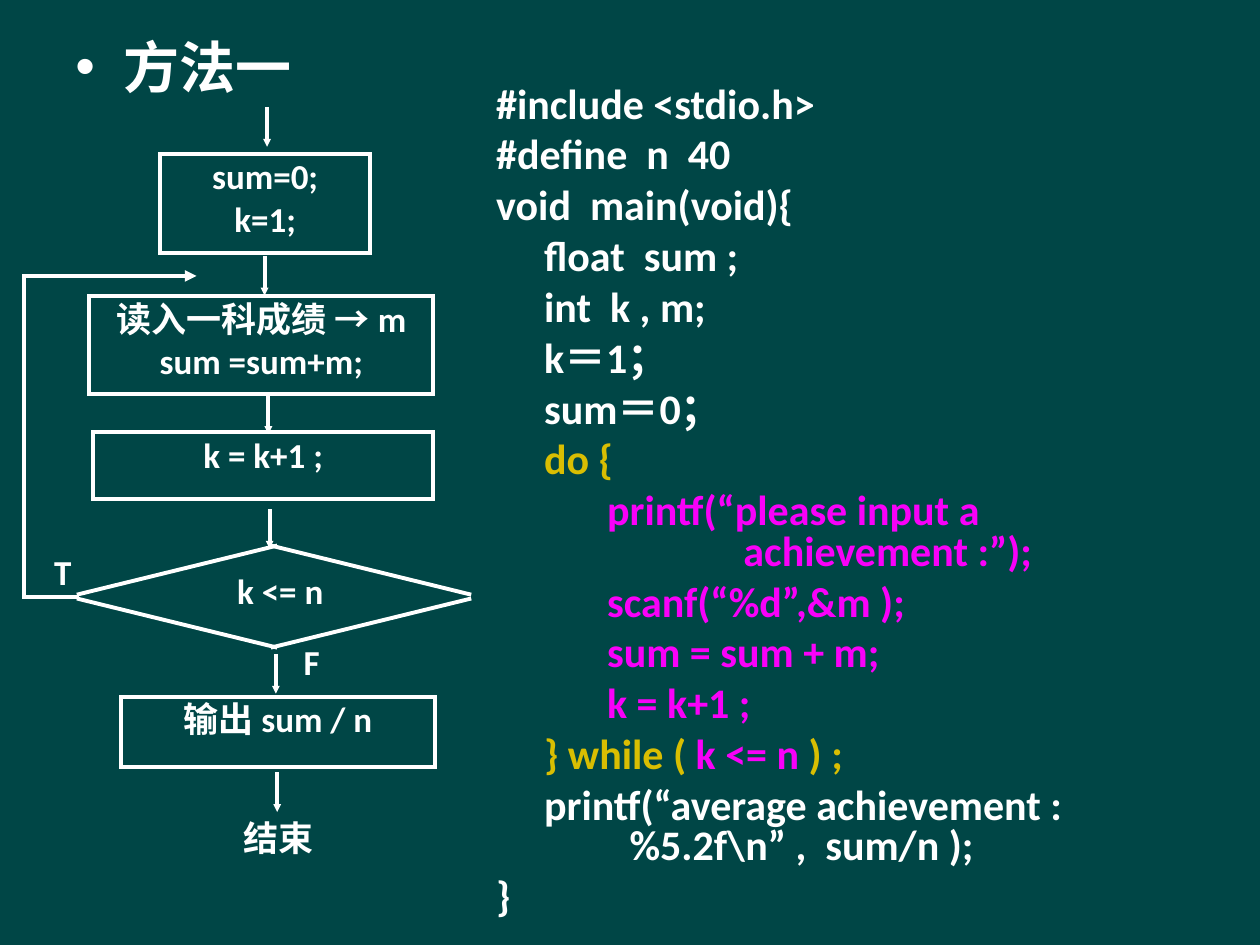
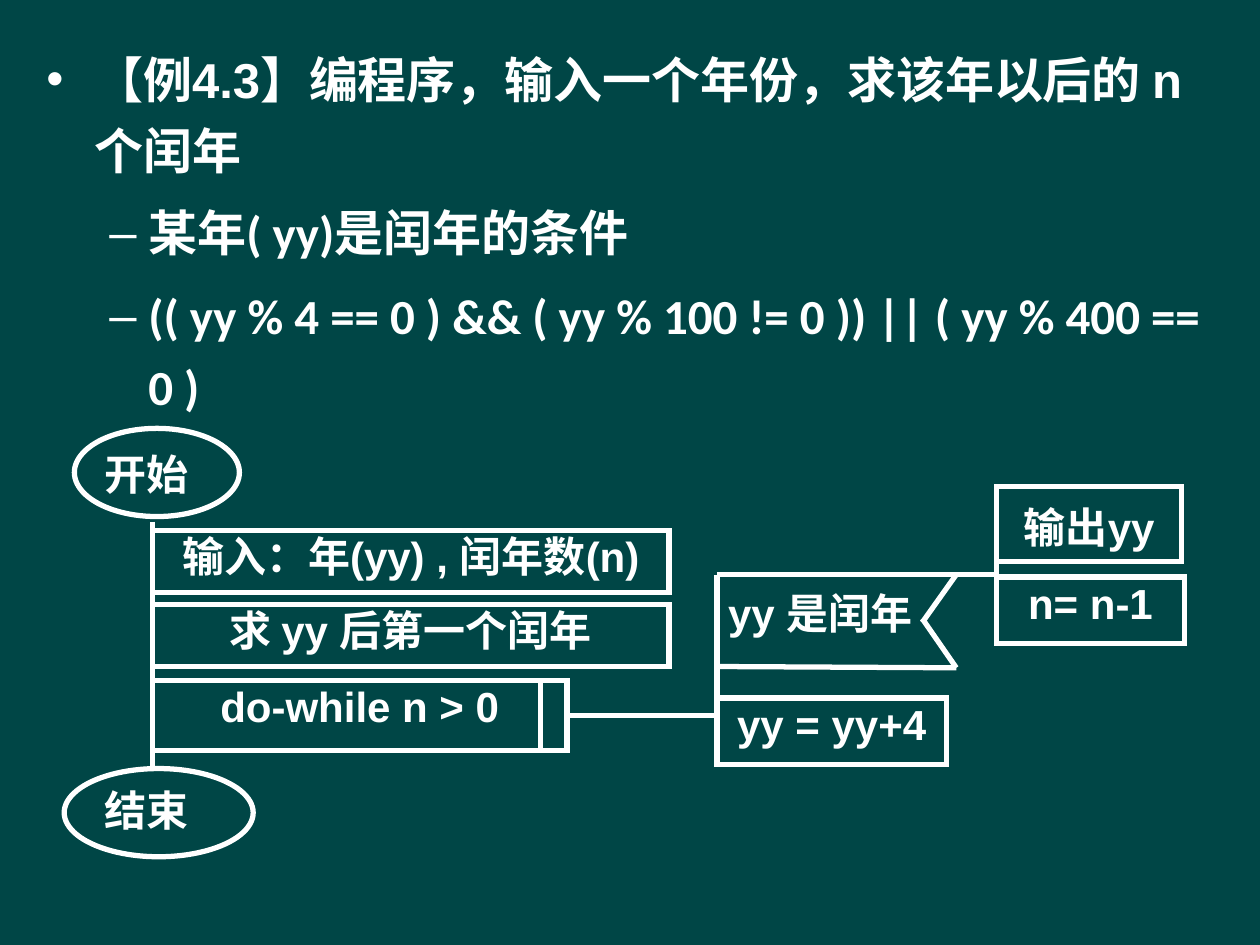
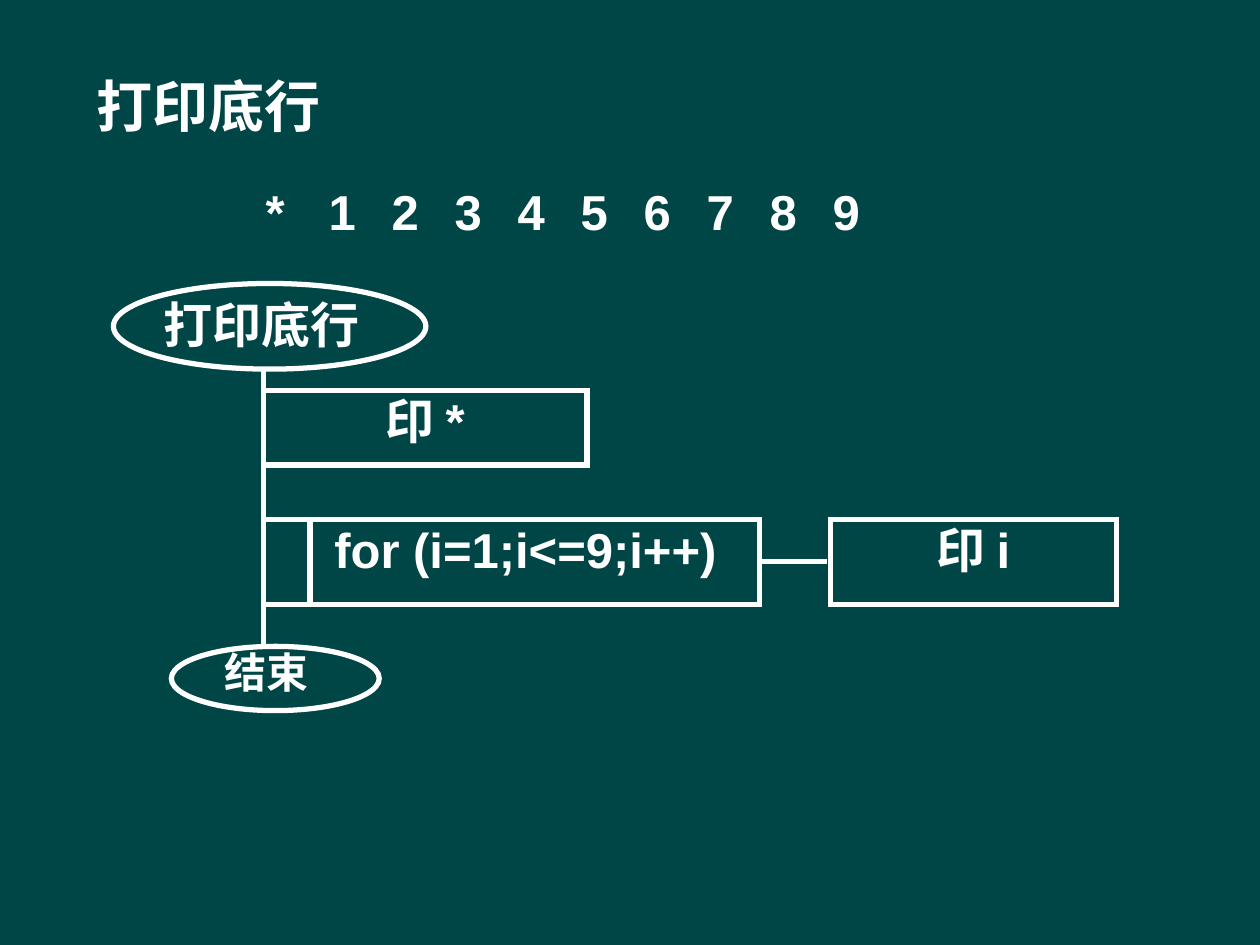
"""Build three slides on C loops: an averaging flowchart, a leap-year chart and a bottom-row chart."""
from dataclasses import dataclass, field
from typing import Optional, Union

from lxml import etree
from pptx import Presentation, util as u
from pptx.dml.color import RGBColor
from pptx.enum import shapes, text
from pptx.oxml import ns

DARK_TEAL = RGBColor(0x00, 0x46, 0x46)
WHITE = RGBColor(0xFF, 0xFF, 0xFF)
GOLD = RGBColor(0xD9, 0xBE, 0x02)
MAGENTA = RGBColor(0xF9, 0x00, 0xF9)

WIDTH, HEIGHT = u.Inches(10), u.Inches(7.5)
COLUMNS = 100
CELL = WIDTH / COLUMNS

RECT = shapes.MSO_SHAPE.RECTANGLE
OVAL = shapes.MSO_SHAPE.OVAL
LEFT, CENTER = text.PP_ALIGN.LEFT, text.PP_ALIGN.CENTER
TIGHT = (0, 0, 0, 0)
ROOMY = (1, 0.5, 1, 0.5)


@dataclass
class Style:
    """Font, text size and line width of one diagram."""
    font: str
    size: int
    weight: float


@dataclass
class Para:
    """One paragraph as coloured pieces, with its indent, bullet, tabs and spacing."""
    pieces: list[tuple[str, RGBColor]]
    align: text.PP_ALIGN = LEFT
    level: int = 0
    margin: float = 0
    hang: float = 0
    bullet: str = ""
    tabs: list[float] = field(default_factory=list)
    spacing: Optional[float] = None
    before: float = 0
    font: str = ""


@dataclass
class Box:
    """A text area in grid cells, outlined when it has an outline shape."""
    content: Union[str, list[Para]]
    left: float
    top: float
    width: float
    height: float
    outline: Optional[shapes.MSO_SHAPE] = None
    align: text.PP_ALIGN = CENTER
    insets: tuple[float, float, float, float] = TIGHT
    size: Optional[int] = None


@dataclass
class Line:
    """A straight line between two grid points."""
    x1: float
    y1: float
    x2: float
    y2: float
    arrow: bool = False


def grid(cells: float) -> u.Emu:
    """Turn grid cells into a length."""
    return u.Emu(round(cells * CELL))


def add_xml(parent: etree.ElementBase, tag: str, **attributes: str) -> etree.ElementBase:
    """Append a DrawingML element."""
    return etree.SubElement(parent, ns.qn(f"a:{tag}"), attributes)


def stroke(shape, weight: float, arrow_size: str = "") -> None:
    """Give a shape a plain white line, with an arrowhead if sized."""
    shape.line.color.rgb = WHITE
    shape.line.width = u.Pt(weight)
    line_xml = shape.element.spPr.find(ns.qn("a:ln"))
    add_xml(line_xml, "miter", lim="800000")
    if arrow_size:
        add_xml(line_xml, "tailEnd", type="triangle", w=arrow_size, len=arrow_size)


def fill_paragraph(paragraph, para: Para, font: str, size: int, first: bool) -> None:
    """Write a paragraph and format its runs."""
    properties = paragraph._p.get_or_add_pPr()
    properties.set("marL", str(grid(para.margin)))
    properties.set("indent", str(grid(-para.hang)))
    if para.bullet:
        add_xml(add_xml(properties, "buClr"), "srgbClr", val=str(WHITE))
        add_xml(properties, "buFont", typeface="Arial")
        add_xml(properties, "buChar", char=para.bullet)
    if para.tabs:
        stops = add_xml(properties, "tabLst")
        for stop in para.tabs:
            add_xml(stops, "tab", pos=str(grid(stop)), algn="l")
    paragraph.alignment = para.align
    paragraph.level = para.level
    if para.spacing:
        paragraph.line_spacing = para.spacing
    if para.before and not first:
        paragraph.space_before = u.Pt(para.before)
    for words, color in para.pieces:
        for index, row in enumerate(words.split("\n")):
            if index:
                paragraph.add_line_break()
            run = paragraph.add_run()
            run.text = row
            run.font.name = para.font or font
            run.font.size = u.Pt(size)
            run.font.bold = True
            run.font.color.rgb = color


def draw_box(slide, box: Box, style: Style) -> None:
    """Draw a text area with its optional outline."""
    place = [grid(n) for n in (box.left, box.top, box.width, box.height)]
    if box.outline is None:
        shape = slide.shapes.add_textbox(*place)
    else:
        shape = slide.shapes.add_shape(box.outline, *place)
        shape.shadow.inherit = False
        shape.fill.background()
        stroke(shape, style.weight)
    if not box.content:
        return
    frame = shape.text_frame
    frame.word_wrap = True
    frame.vertical_anchor = text.MSO_ANCHOR.TOP
    frame.margin_left, frame.margin_top, frame.margin_right, frame.margin_bottom = map(grid, box.insets)
    paras = box.content
    if isinstance(paras, str):
        paras = [Para([(row, WHITE)], align=box.align) for row in paras.split("\n")]
    for index, para in enumerate(paras):
        paragraph = frame.add_paragraph() if index else frame.paragraphs[0]
        fill_paragraph(paragraph, para, style.font, box.size or style.size, index == 0)


def draw_line(slide, line: Line, style: Style) -> None:
    """Draw a straight connector."""
    ends = [grid(n) for n in (line.x1, line.y1, line.x2, line.y2)]
    connector = slide.shapes.add_connector(shapes.MSO_CONNECTOR.STRAIGHT, *ends)
    stroke(connector, style.weight, "sm" if line.arrow else "")
    add_xml(connector.element.spPr, "effectLst")


def draw_path(slide, points: list[tuple[float, float]], style: Style) -> None:
    """Draw an open path that ends in an arrowhead."""
    start, *rest = [(grid(x), grid(y)) for x, y in points]
    builder = slide.shapes.build_freeform(*start)
    builder.add_line_segments(rest, close=False)
    shape = builder.convert_to_shape()
    shape.shadow.inherit = False
    shape.fill.background()
    stroke(shape, style.weight, "med")


def add_diagram(prs, style: Style, boxes: list[Box], lines: list[Line]):
    """Add a blank slide and draw its boxes and lines."""
    slide = prs.slides.add_slide(prs.slide_layouts[6])
    for box in boxes:
        draw_box(slide, box, style)
    for line in lines:
        draw_line(slide, line, style)
    return slide


def code_line(*pieces: tuple[str, RGBColor]) -> Para:
    """Set one line of program code."""
    return Para(list(pieces), margin=3.8, hang=3.8, spacing=0.8, before=6,
                tabs=[10 * stop for stop in range(8)])


def build_average(prs) -> None:
    """Flowchart and program that average the scores."""
    style = Style("Calibri", 20, 2.25)
    program = [code_line((row, color)) for row, color in (
        ("#include <stdio.h>", WHITE),
        ("#define  n  40", WHITE),
        ("void  main(void){", WHITE),
        ("\tfloat  sum ;", WHITE),
        ("\tint  k , m;", WHITE),
        ("\tk＝1；", WHITE),
        ("\tsum＝0；", WHITE),
        ("\tdo {", GOLD),
        ("\t\tprintf(“please input a\n                     achievement :”);", MAGENTA),
        ("\t\tscanf(“%d”,&m );", MAGENTA),
        ("\t\tsum = sum + m;", MAGENTA),
        ("\t\tk = k+1 ;", MAGENTA),
    )]
    program += [
        code_line(("\t} while ( ", GOLD), ("k <= n", MAGENTA), (" ) ;", GOLD)),
        code_line(("\tprintf(“average achievement :\n         %5.2f\\n” ,  sum/n );", WHITE)),
        code_line(("}", WHITE)),
    ]
    heading = [Para([("方法一", WHITE)], margin=3.8, hang=3.8, bullet="•")]
    thin = (0.1, 0.1, 0.1, 0.1)
    boxes = [
        Box(heading, 5, 2.1, 30, 7, insets=ROOMY, size=32),
        Box(program, 38.4, 6.4, 61.6, 67.6, insets=ROOMY, size=24),
        Box("sum=0;\nk=1;", 12.7, 12.2, 16.7, 7.9, RECT, insets=thin),
        Box("读入一科成绩 → m\nsum =sum+m;", 7.1, 23.5, 27.3, 7.8, RECT, insets=thin),
        Box("k = k+1 ;", 7.4, 34.3, 27, 5.3, RECT, insets=thin),
        Box("k <= n", 9.6, 45.1, 25.3, 4.5, insets=thin),
        Box("T", 4.2, 43.6, 4.6, 5.7, align=LEFT, insets=thin),
        Box("F", 24, 50.7, 4.6, 6.4, align=LEFT, insets=thin),
        Box("输出 sum / n", 9.6, 55.3, 24.9, 5.6, RECT, insets=thin),
        Box("结束", 11.5, 64.7, 21.3, 4.1, insets=thin),
    ]
    arrow_starts = ((21.2, 8.5), (21, 20.3), (21.3, 31.3), (21.4, 40.4), (21.9, 51.9), (22, 61.3))
    lines = [Line(x, y, x, y + 3.15, True) for x, y in arrow_starts]
    lines += [Line(side, middle, apex_x, apex_y)
              for side, apex_x in ((6.1, 22), (37.4, 21.5))
              for middle, apex_y in ((47.2, 43.3), (47.5, 51.4))]
    slide = add_diagram(prs, style, boxes, lines)
    draw_path(slide, [(6.3, 47.4), (1.9, 47.4), (1.9, 21.9), (15.6, 21.9)], style)


def build_leap_years(prs) -> None:
    """Leap-year task with its structure chart."""
    style = Style("Arial", 24, 3)
    task = [Para([("【例4.3】编程序，输入一个年份，求该年以后的 n 个闰年", WHITE)],
                 margin=3.8, hang=3.8, bullet="•", spacing=1.2)]
    task += [Para([(row, WHITE)], level=1, margin=8.1, hang=3.1, bullet="–",
                  spacing=1.2, before=7, font="Calibri")
             for row in ("某年( yy)是闰年的条件",
                         "(( yy % 4 == 0 ) && ( yy % 100 != 0 )) || ( yy % 400 == 0 )")]
    trunk, branch, leaf = 12.1, 56.9, 79.1
    boxes = [
        Box(task, 2.7, 2.5, 95, 49.2, insets=ROOMY, size=28),
        Box("", 5.9, 34, 13.1, 7, OVAL),
        Box("开始", 8.3, 35.6, 7.9, 4.1, align=LEFT),
        Box("输入：年(yy) , 闰年数(n)", trunk, 42.1, 41, 4.9, RECT),
        Box("求 yy 后第一个闰年", trunk, 48, 41, 4.9, RECT),
        Box("do-while n > 0", trunk, 54, 32.9, 5.6, RECT),
        Box("", 5.1, 61, 15, 7, OVAL),
        Box("结束", 8.3, 62.3, 8.7, 4.5, align=LEFT),
        Box("yy 是闰年", 57.1, 46.6, 16, 4.9),
        Box("yy = yy+4", branch, 55.4, 18.2, 5.3, RECT),
        Box("输出yy", leaf, 38.6, 14.7, 6, RECT, insets=(0, 1.2, 0, 0)),
        Box("n= n-1", leaf, 45.8, 14.9, 5.3, RECT),
    ]
    lines = [
        Line(trunk, 41.4, trunk, 61),
        Line(42.9, 54, 42.9, 59.7),
        Line(44.9, 56.8, branch, 56.8),
        Line(branch, 45.6, branch, 60.7),
        Line(branch, 45.6, leaf, 45.6),
        Line(branch, 52.9, 75.9, 53),
        Line(75.9, 45.6, 73.2, 49.4),
        Line(75.9, 53, 73.2, 49.1),
        Line(leaf, 38.7, leaf, 51.3),
    ]
    add_diagram(prs, style, boxes, lines)


def build_bottom_row(prs) -> None:
    """Structure chart that prints the bottom row."""
    style = Style("Arial", 28, 3)
    digits = range(1, 10)
    row = "\t".join(["*", *map(str, digits)])
    header = [Para([(row, WHITE)], tabs=[4.8 + 6.48 * (digit - 1) for digit in digits])]
    trunk = 20.9
    boxes = [
        Box("打印底行", 6.7, 5.2, 32.3, 6.4, align=LEFT, insets=ROOMY, size=32),
        Box(header, 20.1, 13.9, 60.7, 5.7, insets=(1, 0.5, 0, 0.5)),
        Box("", 9, 22.5, 24.8, 6.8, OVAL),
        Box("打印底行", 10.9, 23.4, 19.7, 4.3),
        Box("印 *", trunk, 31, 25.7, 5.9, RECT),
        Box("for (i=1;i<=9;i++)", trunk, 41.2, 39.4, 6.8, RECT, insets=(2.2, 0, 0, 0)),
        Box("印 i", 65.9, 41.2, 22.7, 6.8, RECT),
        Box("", 13.6, 51.3, 16.5, 5.1, OVAL),
        Box("结束", 14.5, 51.3, 13.3, 4.7, size=24),
    ]
    lines = [
        Line(trunk, 29.3, trunk, 51.3),
        Line(24.6, 41.2, 24.6, 47.9),
        Line(60.4, 44.55, 65.6, 44.55),
    ]
    add_diagram(prs, style, boxes, lines)


def main() -> None:
    """Build and save the slides."""
    prs = Presentation()
    prs.slide_width, prs.slide_height = WIDTH, HEIGHT
    backdrop = prs.slide_master.background.fill
    backdrop.solid()
    backdrop.fore_color.rgb = DARK_TEAL
    build_average(prs)
    build_leap_years(prs)
    build_bottom_row(prs)
    prs.save("out.pptx")


if __name__ == "__main__":
    main()
